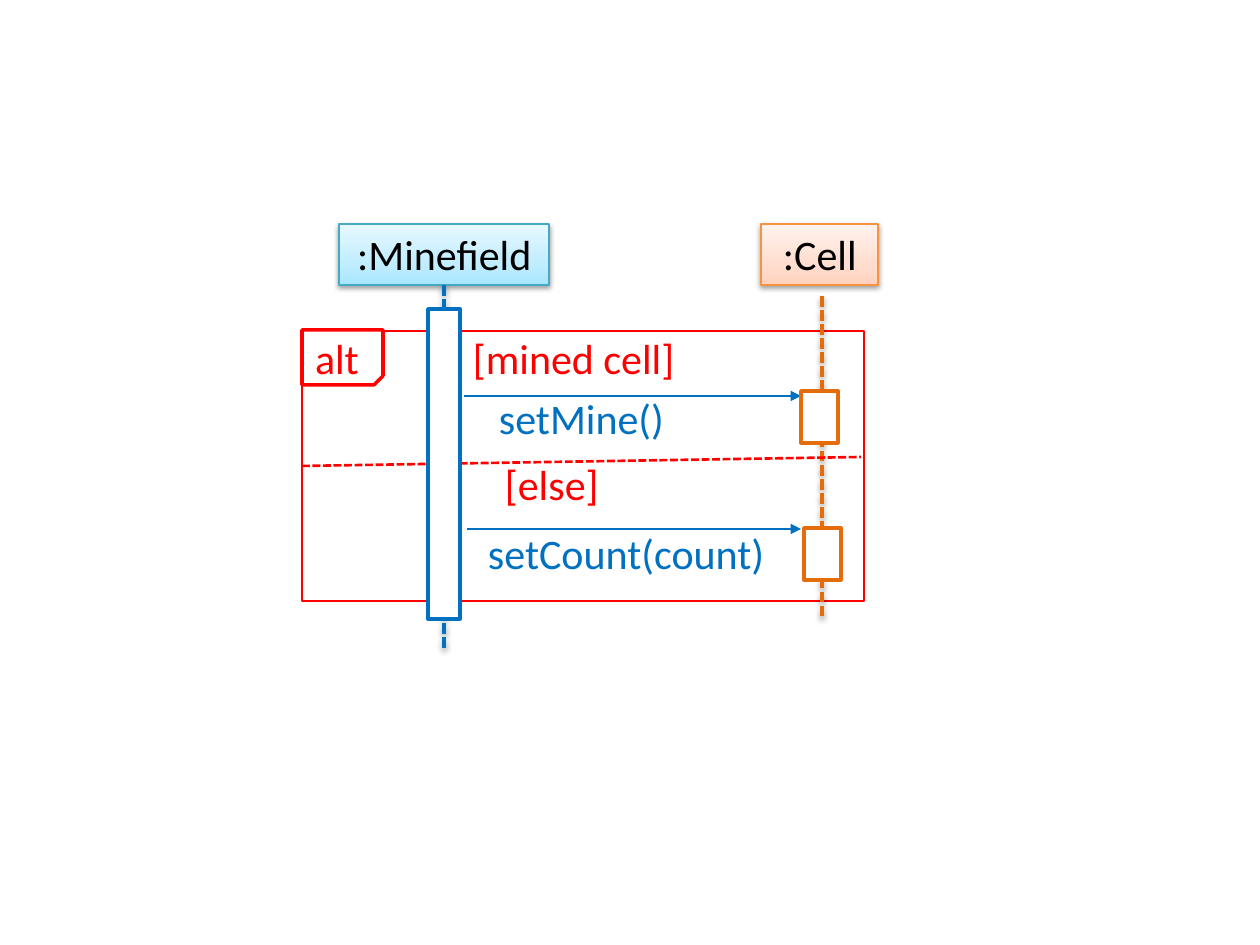
from copy import deepcopy

from pptx import Presentation
from pptx.dml.color import RGBColor
from pptx.enum.dml import MSO_LINE
from pptx.enum.shapes import MSO_CONNECTOR, MSO_SHAPE
from pptx.enum.text import MSO_ANCHOR, MSO_AUTO_SIZE, PP_ALIGN
from pptx.oxml import parse_xml
from pptx.oxml.ns import nsdecls, qn
from pptx.util import Emu, Pt

RECTANGLE = MSO_SHAPE.RECTANGLE
SNIPPED = MSO_SHAPE.SNIP_1_RECTANGLE
STRAIGHT = MSO_CONNECTOR.STRAIGHT
DASH = MSO_LINE.SQUARE_DOT
TOP, MIDDLE = MSO_ANCHOR.TOP, MSO_ANCHOR.MIDDLE
LEFT, CENTER = PP_ALIGN.LEFT, PP_ALIGN.CENTER
GROW, FIXED = MSO_AUTO_SIZE.SHAPE_TO_FIT_TEXT, MSO_AUTO_SIZE.NONE

RED, BLUE, ORANGE = "FF0000", "0070C0", "E46C0A"
WHITE, BLACK = "FFFFFF", "000000"
BOTTOM_SIDE = 2


def px(length):
    return Emu(round(length * 914400 / 126))


def rgb(color):
    return RGBColor.from_string(color)


def set_effects(element, shadow):
    """Replace the theme effects by a soft drop shadow or by none."""
    effects = parse_xml(f"<a:effectLst {nsdecls('a')}/>")
    if shadow:
        effects.append(parse_xml(
            f'<a:outerShdw {nsdecls("a")} blurRad="40000" dist="20000" dir="5400000"'
            ' rotWithShape="0"><a:srgbClr val="000000"><a:alpha val="38000"/>'
            "</a:srgbClr></a:outerShdw>"))
    element.spPr.append(effects)


def write_text(shape, text, color, align=LEFT, anchor=TOP, autosize=GROW,
               left_inset=13, inset=6, tab=None):
    frame = shape.text_frame
    frame.word_wrap = True
    frame.auto_size = autosize
    frame.vertical_anchor = anchor
    frame.margin_left = px(left_inset)
    frame.margin_top = frame.margin_bottom = px(inset)
    paragraph = frame.paragraphs[0]
    paragraph.text = text
    paragraph.alignment = align
    if tab:
        paragraph._p.get_or_add_pPr().append(parse_xml(
            f'<a:tabLst {nsdecls("a")}><a:tab pos="{px(tab)}" algn="l"/></a:tabLst>'))
    font = paragraph.runs[0].font
    font.name, font.size = "Calibri", Pt(24)
    font.color.rgb = rgb(color)


class SequenceDiagram:
    def __init__(self, slide):
        self.slide = slide

    def box(self, left, top, width, height, line, weight=2, kind=RECTANGLE,
            gradient=None, shadow=False):
        shape = self.slide.shapes.add_shape(kind, px(left), px(top), px(width), px(height))
        if gradient:
            self.fill_gradient(shape, gradient)
        else:
            shape.fill.solid()
            shape.fill.fore_color.rgb = rgb(WHITE)
        shape.line.color.rgb = rgb(line)
        shape.line.width = Pt(weight)
        set_effects(shape._element, shadow)
        return shape

    def fill_gradient(self, shape, colors):
        shape.fill.gradient()
        shape.fill.gradient_angle = 90
        stops = shape._element.spPr.find(qn("a:gradFill")).find(qn("a:gsLst"))
        stops.insert(1, deepcopy(stops[0]))
        for stop, color, position in zip(shape.fill.gradient_stops, colors, (0, 0.35, 1)):
            stop.color.rgb = rgb(color)
            stop.position = position

    def participant(self, name, left, width, line, gradient):
        shape = self.box(left, 224, width, 61, line, 0.75, gradient=gradient, shadow=True)
        write_text(shape, name, BLACK, align=CENTER, inset=5)
        return shape

    def line(self, start, end, color, weight=1.5, dashed=False, arrow=False, shadow=False):
        connector = self.slide.shapes.add_connector(STRAIGHT, *map(px, start + end))
        connector.line.color.rgb = rgb(color)
        connector.line.width = Pt(weight)
        if dashed:
            connector.line.dash_style = DASH
        if arrow:
            connector.line._get_or_add_ln().append(
                parse_xml(f'<a:tailEnd {nsdecls("a")} type="triangle"/>'))
        set_effects(connector._element, shadow)
        return connector

    def lifeline(self, x, top, bottom, color):
        return self.line((x, top), (x, bottom), color, 2, dashed=True, shadow=True)

    def label(self, text, left, top, width, height, color, **text_format):
        shape = self.slide.shapes.add_textbox(px(left), px(top), px(width), px(height))
        write_text(shape, text, color, **text_format)


def main():
    presentation = Presentation()
    presentation.slide_width, presentation.slide_height = px(1260), px(945)
    slide = presentation.slides.add_slide(presentation.slide_layouts[6])
    diagram = SequenceDiagram(slide)

    # Alternative frame and the cell participant
    diagram.box(302, 331, 562, 270, RED, 1.5)
    diagram.lifeline(822, 296, 619, ORANGE)
    diagram.participant(":Cell", 761, 117, "F69240", ("FFD2BD", "FFDED0", "FFF2ED"))

    # Frame tab with operator and first guard
    tab = diagram.box(302, 330, 81, 55, RED, kind=SNIPPED)
    tab._element.spPr.find(qn("a:xfrm")).set("flipV", "1")
    diagram.label("alt\t[mined cell]", 302, 331, 551, 53, RED,
                  anchor=MIDDLE, autosize=FIXED, tab=158)

    # Messages and cell activations
    for start, y, activation_left, activation_top in ((464, 396, 801, 391),
                                                      (467, 529, 804, 528)):
        diagram.line((start, y), (801, y), BLUE, arrow=True)
        diagram.box(activation_left, activation_top, 37, 52, ORANGE)
    diagram.line((302, 466), (861, 457), RED, dashed=True)
    diagram.label("setMine()", 486, 387, 252, 63, BLUE)
    diagram.label("setCount(count)", 475, 522, 335, 63, BLUE)

    # Minefield participant with its activation
    minefield = diagram.participant(":Minefield", 339, 210, "46AAC5",
                                    ("A7E6FF", "C1EDFF", "E7F8FF"))
    lifeline = diagram.lifeline(444, 285, 649, BLUE)
    lifeline.begin_connect(minefield, BOTTOM_SIDE)
    diagram.box(428, 309, 32, 310, BLUE)

    # Second guard
    diagram.label("[else]", 483, 457, 134, 53, RED,
                  anchor=MIDDLE, autosize=FIXED, left_inset=22)

    presentation.save("out.pptx")


if __name__ == "__main__":
    main()
